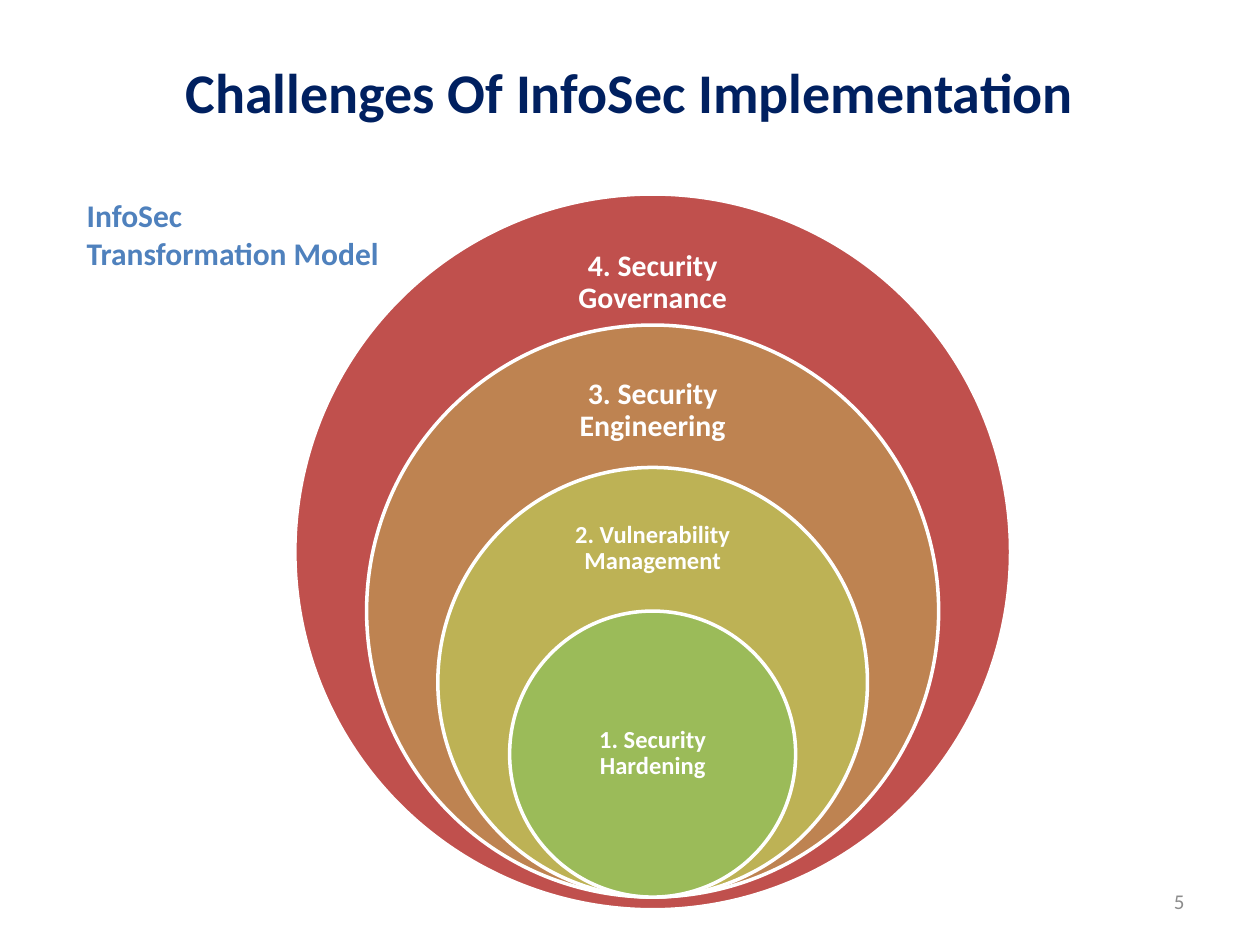
from pptx import Presentation
from pptx.dml.color import RGBColor
from pptx.enum.shapes import MSO_SHAPE as Shape
from pptx.enum.text import MSO_ANCHOR as Anchor, PP_ALIGN as Align
from pptx.util import Inches, Pt

COLORS = {
    "title": "002060",
    "caption": "4F81BD",
    "number": "8C8C8C",
    "white": "FFFFFF",
    "governance": "C0504D",
    "engineering": "BE8351",
    "vulnerability": "BDB255",
    "hardening": "9BBB59",
}

# name, diameter, gap below, label (top, width, height), inset, text size, text
RINGS = [
    ("governance", 5.68, 0, (1.82, 1.59, 0.85), 0.13, 17, "4. Security Governance"),
    ("engineering", 4.54, 0.1, (2.85, 1.59, 0.82), 0.13, 17, "3. Security Engineering"),
    ("vulnerability", 3.41, 0.1, (3.97, 1.59, 0.77), 0.11, 14, "2. Vulnerability Management"),
    ("hardening", 2.27, 0.1, (5.41, 1.61, 1.14), 0.11, 14, "1. Security Hardening"),
]


def color(name):
    """Return the named colour."""
    return RGBColor.from_string(COLORS[name])


def set_text(shape, lines, size, color_name, bold=True, align=Align.LEFT,
             anchor=Anchor.MIDDLE, spacing=None, inset=None, wrap=True):
    """Write one paragraph per line and format them alike."""
    frame = shape.text_frame
    frame.text = "\n".join(lines)
    frame.word_wrap = wrap
    frame.vertical_anchor = anchor
    if inset is not None:
        for side in ("left", "top", "right", "bottom"):
            setattr(frame, f"margin_{side}", Inches(inset))
    for paragraph in frame.paragraphs:
        for name, value in {"alignment": align, "line_spacing": spacing}.items():
            setattr(paragraph, name, value)
        for name, value in {"name": "Calibri", "size": Pt(size), "bold": bold}.items():
            setattr(paragraph.font, name, value)
        paragraph.font.color.rgb = color(color_name)


def add_text(slide, box, lines, size, color_name, **formats):
    """Add a text box in the given box."""
    shape = slide.shapes.add_textbox(*map(Inches, box))
    set_text(shape, lines, size, color_name, **formats)


def place_title(slide, box, text):
    """Move and format the title placeholder."""
    title = slide.shapes.title
    title.left, title.top, title.width, title.height = map(Inches, box)
    set_text(title, [text], 32, "title", align=Align.CENTER)


def add_rings(slide, box):
    """Nest the labelled circles in the box, aligned near its bottom."""
    left, top, width, height = box
    center, bottom = left + width / 2, top + height
    for name, diameter, gap, label, inset, size, text in RINGS:
        place = (center - diameter / 2, bottom - gap - diameter, diameter, diameter)
        ring = slide.shapes.add_shape(Shape.OVAL, *map(Inches, place))
        ring.shadow.inherit = False
        ring.fill.solid()
        ring.fill.fore_color.rgb = color(name)
        ring.line.color.rgb = color("white")
        ring.line.width = Pt(2)
        label_top, label_width, label_height = label
        label_box = (center - label_width / 2, label_top, label_width, label_height)
        add_text(slide, label_box, [text], size, "white",
                 align=Align.CENTER, spacing=0.9, inset=inset)


def main():
    """Build and save the slide."""
    presentation = Presentation()
    presentation.slide_width, presentation.slide_height = Inches(10), Inches(7.5)
    slide = presentation.slides.add_slide(presentation.slide_layouts[5])
    place_title(slide, (0.5, 0.23, 9, 0.98), "Challenges Of InfoSec Implementation")
    add_rings(slide, (2.34, 1.54, 5.68, 5.68))
    add_text(slide, (0.59, 1.51, 2.54, 0.71), ["InfoSec", "Transformation Model"],
             18, "caption", anchor=Anchor.TOP, wrap=False)
    add_text(slide, (7.17, 6.95, 2.33, 0.4), ["5"], 12, "number",
             bold=False, align=Align.RIGHT)
    presentation.save("out.pptx")


if __name__ == "__main__":
    main()
